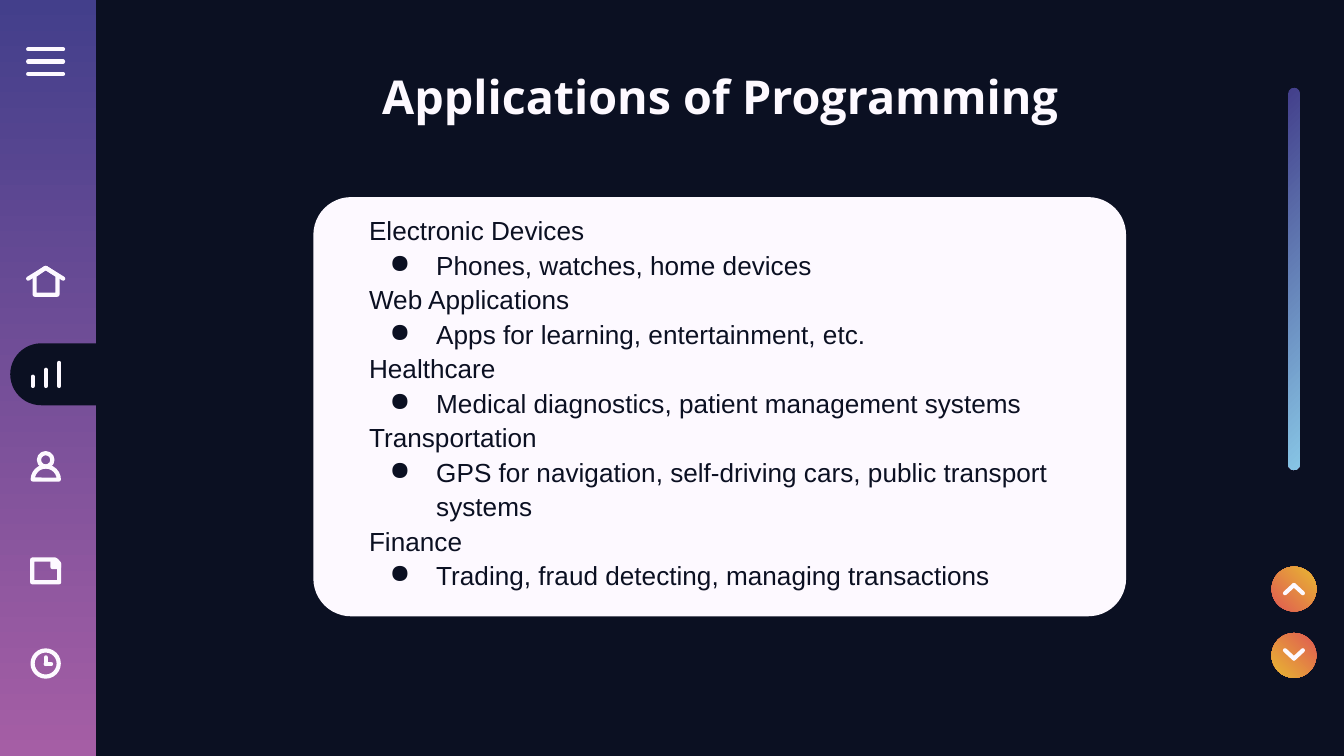
import pptx
import pptx.dml.color
import pptx.enum.shapes
import pptx.enum.text
import pptx.oxml.ns
import pptx.util
from lxml import etree

Pt = pptx.util.Pt
RGB = pptx.dml.color.RGBColor
SHAPE = pptx.enum.shapes.MSO_SHAPE
ALIGN = pptx.enum.text.PP_ALIGN
qn = pptx.oxml.ns.qn

NIGHT = RGB(0x0B, 0x10, 0x22)
WHITE = RGB(0xFD, 0xF9, 0xFF)
INDIGO = RGB(0x43, 0x3F, 0x8B)
PLUM = RGB(0xA5, 0x5E, 0xA5)
SKY = RGB(0x87, 0xC5, 0xE5)
RED = RGB(0xDF, 0x59, 0x53)
GOLD = RGB(0xE8, 0xB8, 0x32)

TOPICS = [
    ("Electronic Devices", "Phones, watches, home devices"),
    ("Web Applications", "Apps for learning, entertainment, etc."),
    ("Healthcare", "Medical diagnostics, patient management systems"),
    ("Transportation",
     "GPS for navigation, self-driving cars, public transport systems"),
    ("Finance", "Trading, fraud detecting, managing transactions"),
]


class Deck:
    stroke = 2.25

    def __init__(self, wide, high):
        self.file = pptx.Presentation()
        self.file.slide_width, self.file.slide_height = Pt(wide), Pt(high)
        self.slide = self.file.slides.add_slide(self.file.slide_layouts[6])
        back = self.slide.background.fill
        back.solid()
        back.fore_color.rgb = NIGHT
        self.shapes = self.slide.shapes

    def pen(self, item):
        """Draw the outline with the round-ended icon stroke."""
        item.line.color.rgb = WHITE
        item.line.width = Pt(self.stroke)
        edge = item.line._get_or_add_ln()
        edge.set("cap", "rnd")
        etree.SubElement(edge, qn("a:round"))

    def paint(self, item, fill, angle, line):
        """Fill with nothing, one colour, or a pair as a gradient."""
        item.shadow.inherit = False
        if fill is None:
            item.fill.background()
        elif isinstance(fill, list):
            item.fill.gradient()
            item.fill.gradient_angle = angle
            for stop, color, place in zip(item.fill.gradient_stops, fill, (0, 1)):
                stop.color.rgb = color
                stop.position = place
        else:
            item.fill.solid()
            item.fill.fore_color.rgb = fill
        if line:
            self.pen(item)
        else:
            item.line.fill.background()

    def shape(self, kind, box, fill=None, angle=0, turn=0, adjust=(), line=False):
        item = self.shapes.add_shape(kind, *map(Pt, box))
        item.rotation = turn
        for i, value in enumerate(adjust):
            item.adjustments[i] = value
        self.paint(item, fill, angle, line)

    def form(self, points, fill=None):
        spots = [(Pt(x), Pt(y)) for x, y in points]
        maker = self.shapes.build_freeform(*spots[0])
        maker.add_line_segments(spots[1:], close=True)
        self.paint(maker.convert_to_shape(), fill, 0, True)

    def line(self, *ends):
        item = self.shapes.add_connector(
            pptx.enum.shapes.MSO_CONNECTOR.STRAIGHT, *map(Pt, ends))
        self.pen(item)
        etree.SubElement(item._element.spPr, qn("a:effectLst"))

    def peak(self, x, y, wide, drop):
        """Two strokes that meet at x, y; a negative drop points down."""
        for side in (-wide, wide):
            self.line(x + side, y + drop, x, y)

    def text(self, box):
        frame = self.shapes.add_textbox(*map(Pt, box)).text_frame
        frame.word_wrap = True
        frame.vertical_anchor = pptx.enum.text.MSO_ANCHOR.MIDDLE
        frame.margin_left = frame.margin_right = Pt(7.2)
        frame.margin_top = frame.margin_bottom = Pt(7.2)
        return frame

    def label(self, para, text, font, size, color, bold=False):
        para.text = text
        para.font.name, para.font.size = font, Pt(size)
        para.font.color.rgb, para.font.bold = color, bold

    def bullet(self, para):
        props = para._p.get_or_add_pPr()
        props.set("marL", str(Pt(36)))
        props.set("indent", str(Pt(-25)))
        mark = etree.Element(qn("a:buChar"), char="●")
        props.insert_element_before(mark, "a:tabLst", "a:defRPr", "a:extLst")

    def topics(self, box, rows):
        frame = self.text(box)
        for i, (text, nested) in enumerate(rows):
            para = frame.add_paragraph() if i else frame.paragraphs[0]
            self.label(para, text, "Arial", 14, NIGHT)
            para.line_spacing = 1.1
            if nested:
                self.bullet(para)


def icons(deck):
    mid = 24.5
    for y in (26.4, 33, 39.6):
        deck.line(15.1, y, 33.8, y)

    deck.peak(mid, 143.5, 9.4, 5.8)
    deck.form([(18.6, 147.6), (18.6, 157.9), (30.8, 157.9),
               (30.8, 147.6), (mid, 143.5)])

    for i in range(3):
        x = 17.5 + 7.1 * i
        deck.line(x, 201.8 - 3.7 * i, x, 206.8)

    deck.shape(SHAPE.OVAL, (20.9, 242.8, 7.2, 7.2), line=True)
    deck.shape(SHAPE.PIE, (17.5, 250, 14, 14),
               turn=90, adjust=(54.33, 162), line=True)

    deck.shape(SHAPE.SNIP_1_RECTANGLE, (17.3, 299.8, 14.4, 12.2),
               adjust=(0.17,), line=True)
    deck.form([(28.1, 300.2), (30.2, 300.2), (31.7, 302.2),
               (31.7, 303.8), (28.1, 303.8)], WHITE)

    deck.shape(SHAPE.OVAL, (17.5, 348.5, 14, 14), line=True)
    deck.line(mid, 352.2, mid, 355.8)
    deck.line(27.4, 355.8, mid, 355.8)


def main():
    deck = Deck(720, 405)
    deck.shape(SHAPE.RECTANGLE, (0, 0, 51.4, 405), [INDIGO, PLUM], 270)
    deck.shape(SHAPE.ROUNDED_RECTANGLE, (590.8, 146.3, 204.8, 6.2),
               [INDIGO, SKY], 45, turn=90, adjust=(0.5,))

    title = deck.text((51.4, 28.8, 668.6, 45.4)).paragraphs[0]
    deck.label(title, "Applications of Programming", "Open Sans", 25, WHITE, True)
    title.alignment = ALIGN.CENTER

    deck.shape(SHAPE.ROUND_2_SAME_RECTANGLE, (14.5, 174.9, 33.2, 51.2), NIGHT,
               turn=270, adjust=(0.5, 0))
    icons(deck)

    deck.shape(SHAPE.ROUNDED_RECTANGLE, (167.9, 105.6, 435.4, 224.6), WHITE,
               adjust=(0.09,))
    rows = [(text, i == 1) for pair in TOPICS for i, text in enumerate(pair)]
    deck.topics((190.6, 117.4, 390.2, 195.1), rows)

    for top, turn, tip, drop in ((339.1, 180, 352.8, -4.4), (303.6, 0, 313.4, 4.4)):
        deck.shape(SHAPE.OVAL, (681.2, top, 24, 24), [RED, GOLD], 45, turn=turn)
        deck.peak(693.2, tip, 4.8, drop)
    deck.file.save("out.pptx")


if __name__ == "__main__":
    main()
